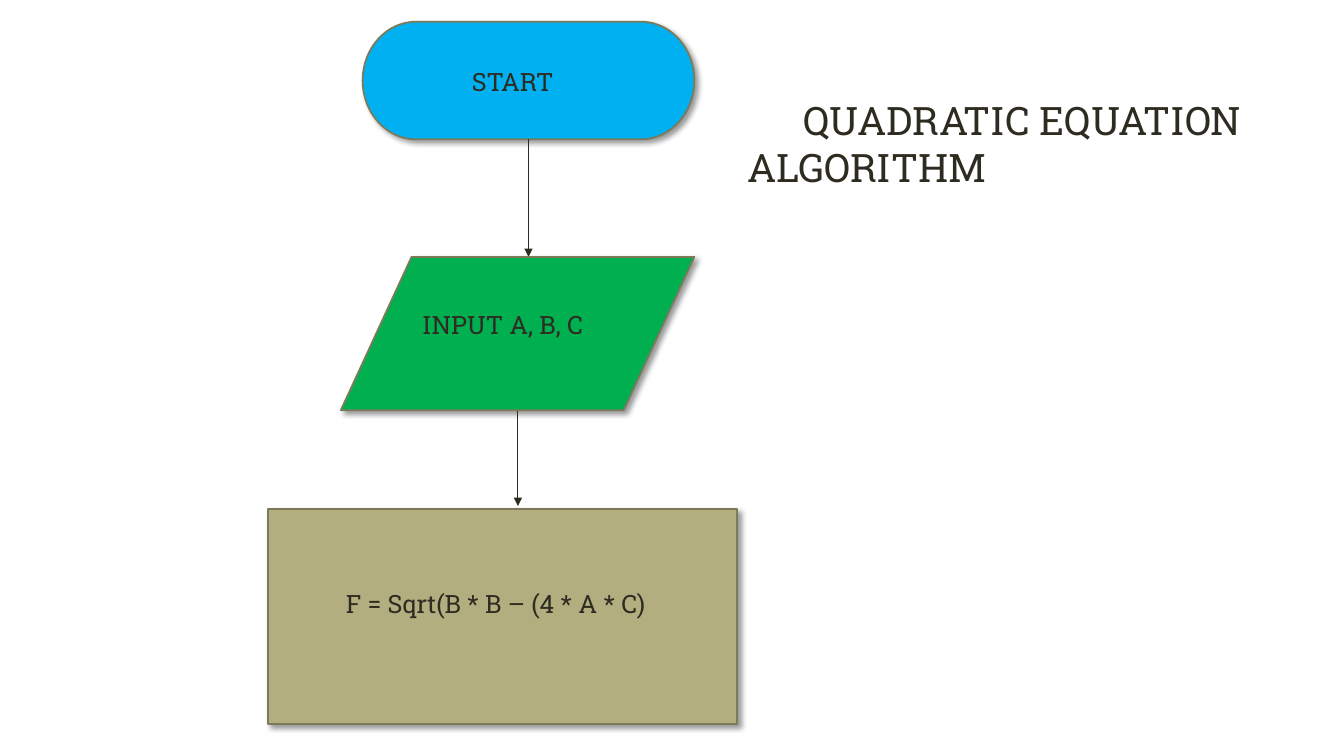
"""Build the quadratic equation flowchart slide."""
from lxml import etree
from pptx import Presentation
from pptx.dml.color import RGBColor
from pptx.enum.shapes import MSO_CONNECTOR, MSO_SHAPE
from pptx.oxml.ns import qn
from pptx.util import Pt

TERMINATOR = MSO_SHAPE.FLOWCHART_TERMINATOR
DATA = MSO_SHAPE.FLOWCHART_DATA
PROCESS = MSO_SHAPE.FLOWCHART_PROCESS
STRAIGHT = MSO_CONNECTOR.STRAIGHT
BOTTOM = 2
FONT = "Roboto Slab"
COLOURS = {
    "ink": "2E2B21",
    "outline": "7D7A5C",
    "start": "00B0F0",
    "input": "00B050",
    "process": "B2AE7F",
    "shadow": "000000",
}


def colour(name):
    return RGBColor.from_string(COLOURS[name])


def add_shadow(shape):
    shape.shadow.inherit = False
    effects = shape._element.spPr.find(qn("a:effectLst"))
    shadow = etree.SubElement(
        effects, qn("a:outerShdw"), blurRad=str(Pt(4)), dist=str(Pt(3)),
        dir="2700000", algn="tl", rotWithShape="0")
    tint = etree.SubElement(shadow, qn("a:srgbClr"), val=COLOURS["shadow"])
    etree.SubElement(tint, qn("a:alpha"), val="40000")


def add_step(page, kind, left, top, width, height, fill):
    step = page.shapes.add_shape(kind, Pt(left), Pt(top), Pt(width), Pt(height))
    step.fill.solid()
    step.fill.fore_color.rgb = colour(fill)
    step.line.color.rgb = colour("outline")
    step.line.width = Pt(1.25)
    add_shadow(step)
    return step


def add_arrow(page, x, top, bottom):
    arrow = page.shapes.add_connector(STRAIGHT, Pt(x), Pt(top), Pt(x), Pt(bottom))
    arrow.line.color.rgb = colour("ink")
    arrow.line.width = Pt(0.75)
    etree.SubElement(arrow.line._get_or_add_ln(), qn("a:tailEnd"), type="triangle")
    etree.SubElement(arrow._element.spPr, qn("a:effectLst"))
    return arrow


def add_text(page, text, left, top, width, height, size=18, indent=0):
    box = page.shapes.add_textbox(Pt(left), Pt(top), Pt(width), Pt(height))
    box.text_frame.word_wrap = True
    box.text_frame.text = text
    para = box.text_frame.paragraphs[0]
    if indent:
        para._p.get_or_add_pPr().set("indent", str(Pt(indent)))
    font = para.runs[0].font
    font.name = FONT
    font.size = Pt(size)
    font.color.rgb = colour("ink")


def main():
    deck = Presentation()
    deck.slide_width, deck.slide_height = Pt(960), Pt(540)
    page = deck.slides.add_slide(deck.slide_layouts[6])

    start = add_step(page, TERMINATOR, 259, 15.5, 237, 84, "start")
    start_arrow = add_arrow(page, 377.5, 99.5, 183.5)
    start_arrow.begin_connect(start, BOTTOM)
    add_step(page, DATA, 243.5, 183.5, 252.5, 109.5, "input")
    add_arrow(page, 370, 293.5, 361.5)
    add_step(page, PROCESS, 191.5, 363.5, 335, 153.5, "process")

    add_text(page, "START", 330, 43.5, 103, 29)
    add_text(page, "INPUT A, B, C", 294.5, 217.5, 155.5, 29)
    add_text(page, "F = Sqrt(B * B – (4 * A * C)", 240, 417, 480, 29)
    add_text(page, "QUADRATIC EQUATION ALGORITHM", 526.5, 65.5, 433.5, 75,
             size=28, indent=40)
    deck.save("out.pptx")


if __name__ == "__main__":
    main()
